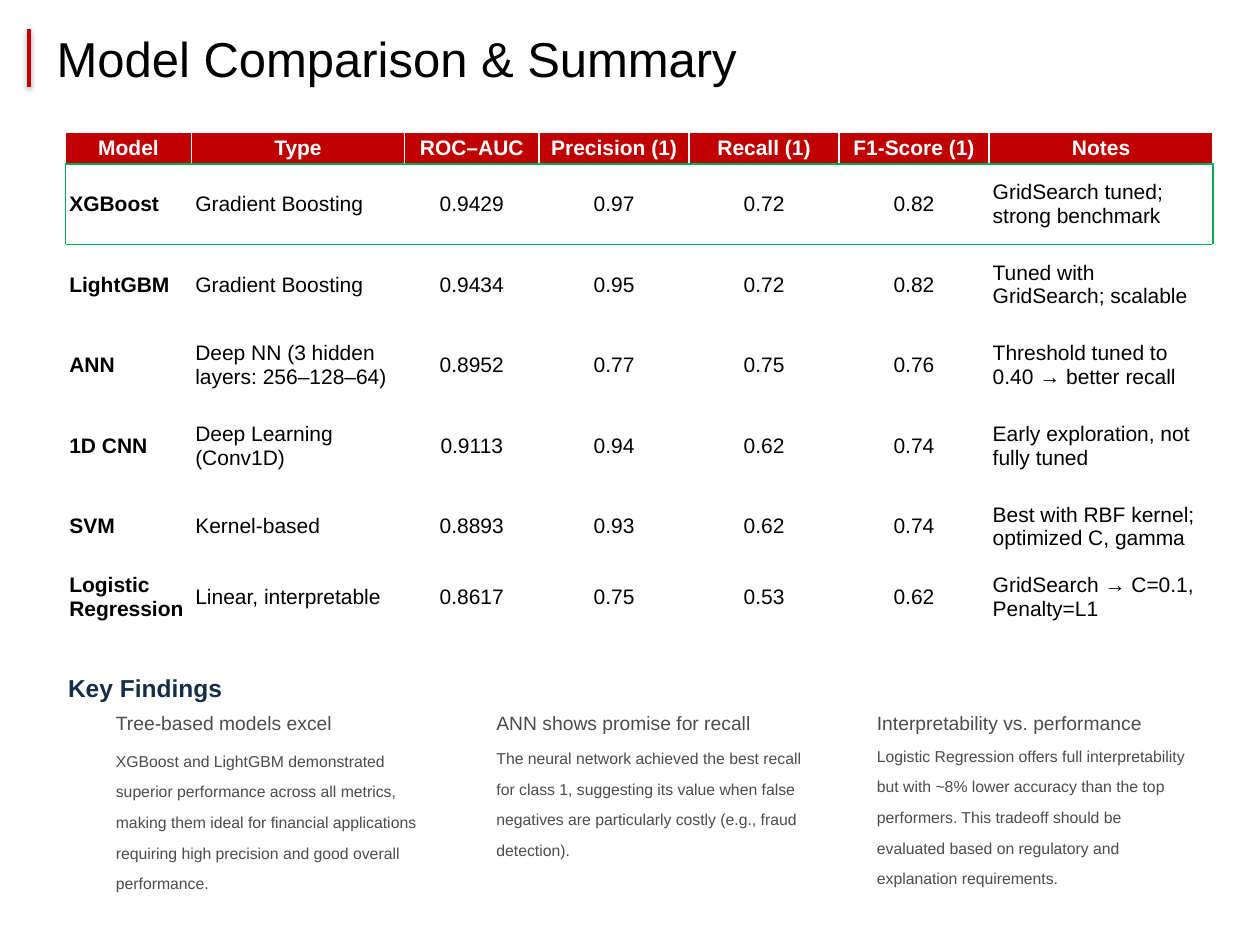
from lxml.etree import SubElement as Sub
from pptx import Presentation
from pptx.dml.color import RGBColor
from pptx.enum.shapes import MSO_CONNECTOR as Link
from pptx.enum.text import MSO_ANCHOR as Anchor, MSO_AUTO_SIZE as Fit, PP_ALIGN as Align
from pptx.oxml.ns import qn
from pptx.util import Inches, Pt

RED, GREEN, NAVY, GREY, BLACK, WHITE = (
    "C00000", "00B050", "152D47", "4C4C4D", "000000", "FFFFFF")
UNIT = Inches(0.1)  # the slide is a grid of 100 columns by 75 rows

HEAD = ["Model", "Type", "ROC–AUC", "Precision (1)", "Recall (1)", "F1-Score (1)", "Notes"]
MODELS = [
    ["XGBoost", "Gradient Boosting", "0.9429", "0.97", "0.72", "0.82",
     "GridSearch tuned; strong benchmark"],
    ["LightGBM", "Gradient Boosting", "0.9434", "0.95", "0.72", "0.82",
     "Tuned with GridSearch; scalable"],
    ["ANN", "Deep NN (3 hidden layers: 256–128–64)", "0.8952", "0.77", "0.75", "0.76",
     "Threshold tuned to 0.40 → better recall"],
    ["1D CNN", "Deep Learning (Conv1D)", "0.9113", "0.94", "0.62", "0.74",
     "Early exploration, not fully tuned"],
    ["SVM", "Kernel-based", "0.8893", "0.93", "0.62", "0.74",
     "Best with RBF kernel; optimized C, gamma"],
    ["Logistic Regression", "Linear, interpretable", "0.8617", "0.75", "0.53", "0.62",
     "GridSearch → C=0.1, Penalty=L1"],
]
WIDTHS = [10, 16.9, 10.7, 11.9, 11.9, 11.9, 17.8]
HEIGHTS = [2.5] + [6.4] * 5 + [4.8]

# heading, row where the body starts, body
FINDINGS = [
    ("Tree-based models excel", 58.7,
     "XGBoost and LightGBM demonstrated superior performance across all metrics, making them "
     "ideal for financial applications requiring high precision and good overall performance."),
    ("ANN shows promise for recall", 58.5,
     "The neural network achieved the best recall for class 1, suggesting its value when false "
     "negatives are particularly costly (e.g., fraud detection)."),
    ("Interpretability vs. performance", 58.3,
     "Logistic Regression offers full interpretability but with ~8% lower accuracy than the top "
     "performers. This tradeoff should be evaluated based on regulatory and explanation "
     "requirements."),
]


def grid(*cells):
    return [round(n * UNIT) for n in cells]


def tint(code):
    return RGBColor.from_string(code)


def assign(item, **values):
    for key, value in values.items():
        setattr(item, key, value)


def write(frame, text, size, color, bold=False, align=Align.LEFT, space=None):
    frame.text = text
    para = frame.paragraphs[0]
    assign(para, alignment=align, line_spacing=space)
    font = para.runs[0].font
    assign(font, name="Arial", size=Pt(size), bold=bold)
    font.color.rgb = tint(color)


def add_label(slide, box, text, size, color, space, bold=False):
    frame = slide.shapes.add_textbox(*grid(*box)).text_frame
    assign(frame, word_wrap=True, margin_left=0, margin_right=0,
           margin_top=0, margin_bottom=0)
    write(frame, text, size, color, bold, space=space)


def add_title(slide, box):
    title = slide.shapes.title
    assign(title, **dict(zip(("left", "top", "width", "height"), grid(*box))))
    frame = title.text_frame
    assign(frame, vertical_anchor=Anchor.MIDDLE, word_wrap=True, auto_size=Fit.NONE)
    write(frame, "Model Comparison & Summary", 28, BLACK, space=0.9)


def add_accent(slide, x, top, end):
    bar = slide.shapes.add_connector(Link.STRAIGHT, *grid(x, top, x, end))
    bar.line.color.rgb = tint(RED)
    bar.line.width = Pt(2)
    effects = Sub(bar._element.spPr, qn("a:effectLst"))
    shade = Sub(effects, qn("a:outerShdw"), blurRad=str(Pt(3.1)), dist=str(Pt(1.6)),
                dir="5400000", rotWithShape="0")
    Sub(Sub(shade, qn("a:srgbClr"), val=BLACK), qn("a:alpha"), val="38000")


def add_edges(cell, sides):
    props = cell._tc.get_or_add_tcPr()
    for side in sides:
        line = Sub(props, qn("a:ln" + side), w=str(Pt(1)))
        Sub(Sub(line, qn("a:solidFill")), qn("a:srgbClr"), val=GREEN)


def frame_sides(row, col):
    """Cell sides that outline the first model, in schema order."""
    ends = {0: "L", len(HEAD) - 1: "R"}.get(col, "") if row == 1 else ""
    return ends + {0: "B", 1: "TB", 2: "T"}.get(row, "")


def fill_cell(cell, text, row, col):
    head = row == 0
    assign(cell, vertical_anchor=Anchor.MIDDLE, margin_left=Inches(0.03),
           margin_right=Inches(0.03), margin_top=Inches(0.01), margin_bottom=Inches(0.01))
    mid = head or 2 <= col <= 5
    write(cell.text_frame, text, 12, WHITE if head else BLACK,
          bold=head or col == 0, align=Align.CENTER if mid else Align.LEFT)
    add_edges(cell, frame_sides(row, col))
    if head:
        cell.fill.solid()
        cell.fill.fore_color.rgb = tint(RED)
    else:
        cell.fill.background()


def add_scores(slide, x, y):
    rows = [HEAD] + MODELS
    box = grid(x, y, sum(WIDTHS), sum(HEIGHTS))
    table = slide.shapes.add_table(len(rows), len(HEAD), *box).table
    assign(table, first_row=False, horz_banding=False)
    for col, width in zip(table.columns, grid(*WIDTHS)):
        col.width = width
    for row, height in zip(table.rows, grid(*HEIGHTS)):
        row.height = height
    for r, texts in enumerate(rows):
        for c, text in enumerate(texts):
            fill_cell(table.cell(r, c), text, r, c)


def add_findings(slide, x, y, step, width):
    add_label(slide, (x - 3.8, y - 3.2, 17.3, 2.9), "Key Findings", 14, NAVY, 1.26, True)
    for i, (head, top, body) in enumerate(FINDINGS):
        left = x + i * step
        add_label(slide, (left, y, width, 2.4), head, 11, GREY, 1.24)
        add_label(slide, (left, top, width, 9.8), body, 9, GREY, 1.62)


def main():
    deck = Presentation()
    assign(deck, slide_width=Inches(10), slide_height=Inches(7.5))
    slide = deck.slides.add_slide(deck.slide_layouts[5])
    add_title(slide, (3.5, 2.1, 86.2, 5.6))
    add_scores(slide, 5.2, 10.5)
    add_accent(slide, 2.3, 2.3, 6.9)
    add_findings(slide, 9.2, 56, 30.2, 25)
    deck.save("out.pptx")


if __name__ == "__main__":
    main()
